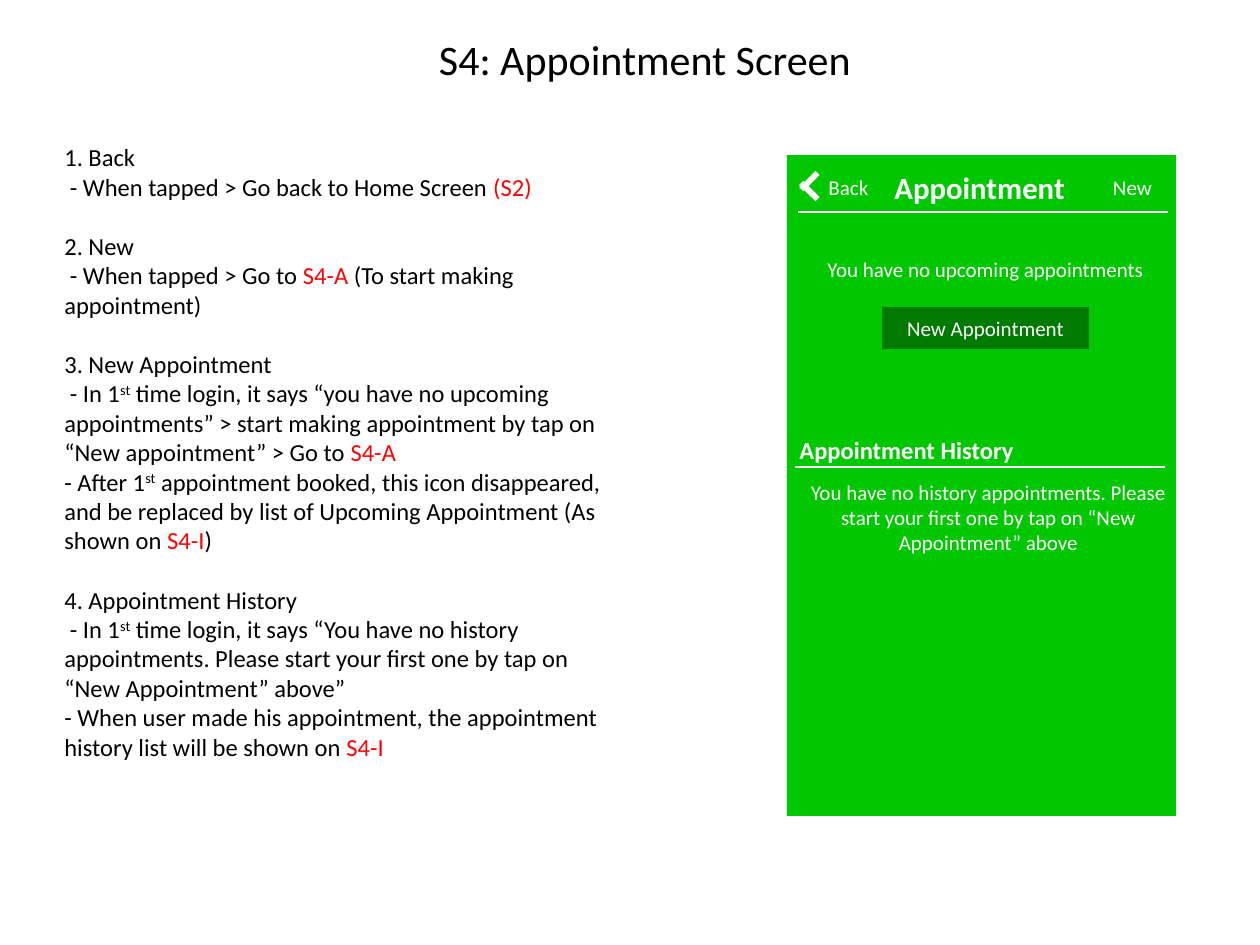
from pptx import Presentation
from pptx import util as u
from pptx.dml import color
from pptx.enum import shapes, text
from lxml import etree

PX = 914400 // 126
WHITE, RED, BLACK = "FFFFFF", "FF0000", "000000"
LEFT, CENTER = text.PP_ALIGN.LEFT, text.PP_ALIGN.CENTER


def rgb(value):
    return color.RGBColor.from_string(value)


def write(sp, paragraphs, size, ink, align=LEFT, bold=False, anchor=text.MSO_ANCHOR.MIDDLE):
    tf = sp.text_frame
    tf.word_wrap = True
    tf.vertical_anchor = anchor
    for i, runs in enumerate(paragraphs):
        p = tf.paragraphs[0] if i == 0 else tf.add_paragraph()
        p.alignment = align
        for content in runs:
            r = p.add_run()
            r.text = content
            r.font.name = "Calibri"
            r.font.size = u.Pt(size)
            r.font.bold = bold
            r.font.color.rgb = rgb(RED if content.strip("()").startswith("S") and size == 14 else ink)
            if content == "st":
                r._r.get_or_add_rPr().set("baseline", "30000")
    return tf


prs = Presentation()
prs.slide_width, prs.slide_height = 1260 * PX, 945 * PX
s = prs.slides.add_slide(prs.slide_layouts[6])

rects = [
    (787, 155, 389, 661, "00C700", 0),
    (798, 188, 23, 6, WHITE, 45),
    (798, 178, 23, 6, WHITE, -45),
    (882, 307, 207, 42, "007A00", 0),
]
for x, y, w, h, fill, angle in rects:
    sp = s.shapes.add_shape(shapes.MSO_SHAPE.RECTANGLE, x * PX, y * PX, w * PX, h * PX)
    sp.shadow.inherit = False
    sp.fill.solid()
    sp.fill.fore_color.rgb = rgb(fill)
    sp.line.fill.background()
    sp.rotation = angle
new_button = sp
write(new_button, [["New Appointment"]], 12, WHITE, CENTER)

for x, y in [(795, 467), (798, 212)]:
    rule = s.shapes.add_connector(shapes.MSO_CONNECTOR.STRAIGHT, x * PX, y * PX, (x + 370) * PX, y * PX)
    rule.line.color.rgb = rgb(WHITE)
    rule.line.width = u.Pt(0.75)
    etree.SubElement(rule._element.spPr, "{http://schemas.openxmlformats.org/drawingml/2006/main}effectLst")

labels = [
    (325, 30, 640, 57, "S4: Appointment Screen", 24, BLACK, CENTER, False),
    (882, 160, 199, 54, "Appointment", 17.6, WHITE, LEFT, True),
    (805, 170, 87, 34, "Back", 12, WHITE, CENTER, False),
    (1089, 170, 87, 34, "New", 12, WHITE, CENTER, False),
    (795, 252, 381, 34, "You have no upcoming appointments", 12, WHITE, CENTER, False),
    (787, 433, 307, 34, "Appointment History", 14, WHITE, LEFT, True),
    (798, 475, 381, 84,
     "You have no history appointments. Please start your first one by tap on “New Appointment” above",
     12, WHITE, CENTER, False),
]
for x, y, w, h, label, size, ink, align, bold in labels:
    box = s.shapes.add_textbox(x * PX, y * PX, w * PX, h * PX)
    write(box, [[label]], size, ink, align, bold)

notes = [
    ["1. Back"],
    [" - When tapped > Go back to Home Screen ", "(S2)"],
    ["2. New"],
    [" - When tapped > Go to ", "S4-A", " (To start making appointment)"],
    ["3. New Appointment"],
    [" - In 1", "st", " time login, it says “you have no upcoming appointments” > start making "
     "appointment by tap on “New appointment” > Go to ", "S4-A"],
    ["- After 1", "st", " appointment booked, this icon disappeared, and be replaced by list of "
     "Upcoming Appointment (As shown on ", "S4-I", ")"],
    ["4. Appointment History"],
    [" - In 1", "st", " time login, it says “You have no history appointments. Please start your "
     "first one by tap on “New Appointment” above”"],
    ["- When user made his appointment, the appointment history list will be shown on ", "S4-I"],
]
box = s.shapes.add_textbox(52 * PX, 136 * PX, 567 * PX, 648 * PX)
tf = write(box, notes, 14, BLACK, anchor=text.MSO_ANCHOR.TOP)
for p in tf.paragraphs[1:]:
    if p.text[0].isdigit():
        p.space_before = u.Pt(17)

prs.save("out.pptx")
